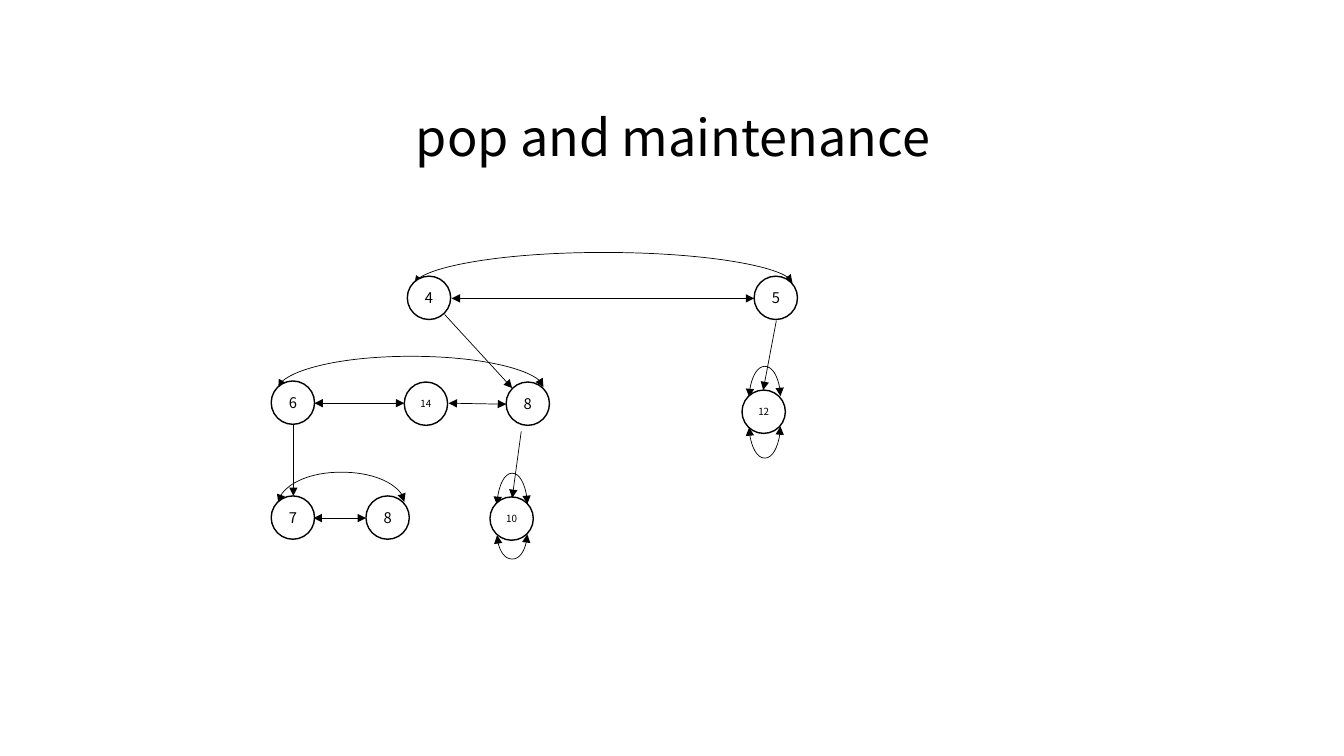
from lxml.etree import SubElement
from pptx import Presentation
from pptx.dml.color import RGBColor
from pptx.enum.shapes import MSO_CONNECTOR as CONN, MSO_SHAPE as SHAPE
from pptx.enum.text import MSO_ANCHOR as ANCHOR, PP_ALIGN as ALIGN
from pptx.oxml.ns import qn
from pptx.util import Inches, Pt

FONT = "Noto Sans CJK SC"
BLACK = RGBColor.from_string("000000")
WHITE = RGBColor.from_string("FFFFFF")
SIZE = 0.43  # node diameter
STEP = 0.01  # height difference between the two ends of an arc

prs = Presentation()
prs.slide_width, prs.slide_height = Inches(13.33), Inches(7.5)
slide = prs.slides.add_slide(prs.slide_layouts[6])


def write(s, text, size, anchor):
    tf = s.text_frame
    tf.word_wrap = True
    tf.vertical_anchor = anchor
    p = tf.paragraphs[0]
    p.alignment = ALIGN.CENTER
    r = p.add_run()
    r.text = text
    r.font.name, r.font.size = FONT, Pt(size)
    r.font.color.rgb = BLACK
    return tf


def link(kind, x1, y1, x2, y2, heads):
    s = slide.shapes.add_connector(kind, Inches(x1), Inches(y1), Inches(x2), Inches(y2))
    s.line.color.rgb = BLACK
    s.line.width = Pt(0.5)
    for head in heads:
        SubElement(s.line._get_or_add_ln(), qn("a:" + head), type="triangle")
    SubElement(s._element.spPr, qn("a:effectLst"))
    return s


# Title
s = slide.shapes.add_textbox(Inches(3.69), Inches(0.72), Inches(5.97), Inches(0.99))
tf = write(s, "pop and maintenance", 36, ANCHOR.BOTTOM)
tf.paragraphs[0].line_spacing = 0.9

# Arcs between the ends of each circular list: left, right, start y, reach, below
arcs = [
    (4.11, 7.86, 2.82, 0.32, False),
    (2.76, 5.39, 3.85, 0.32, False),
    (2.76, 4.01, 4.99, 0.31, False),
    (4.93, 5.23, 5.01, 0.32, False),
    (4.93, 5.23, 5.30, 0.25, True),
    (7.43, 7.74, 3.94, 0.31, False),
    (7.43, 7.74, 4.23, 0.32, True),
]
for left, right, y, reach, below in arcs:
    # The curve is laid out upright, then turned a quarter around its middle
    cx, half = (left + right) / 2, (right - left) / 2
    cy = y + STEP / 2 if below else y - STEP / 2
    s = link(CONN.CURVE, cx - STEP / 2, cy - half, cx + STEP / 2, cy + half,
             ["headEnd", "tailEnd"])
    xfrm = s._element.spPr.find(qn("a:xfrm"))
    xfrm.set("rot", "5400000")
    if not below:
        xfrm.set("flipH", "1")
        xfrm.set("flipV", "1")
    guides = s._element.spPr.find(qn("a:prstGeom")).find(qn("a:avLst"))
    SubElement(guides, qn("a:gd"), name="adj1", fmla=f"val {round(reach / STEP * 100000)}")

# Nodes: key, left, top
nodes = [
    ("4", 4.04, 2.74), ("5", 7.48, 2.74),
    ("6", 2.69, 3.78), ("14", 4.01, 3.79), ("8", 5.02, 3.79), ("12", 7.36, 3.87),
    ("7", 2.69, 4.92), ("8", 3.63, 4.92), ("10", 4.86, 4.93),
]
for key, x, y in nodes:
    s = slide.shapes.add_shape(SHAPE.FLOWCHART_CONNECTOR, Inches(x), Inches(y),
                               Inches(SIZE), Inches(SIZE))
    s.shadow.inherit = False
    s.fill.solid()
    s.fill.fore_color.rgb = WHITE
    s.line.color.rgb = BLACK
    s.line.width = Pt(1)
    tf = write(s, key, 7 if len(key) > 1 else 10.5, ANCHOR.MIDDLE)
    tf.margin_left = tf.margin_right = tf.margin_top = tf.margin_bottom = 0

# Sibling links, pointing both ways
siblings = [
    (4.48, 2.96, 7.48, 2.96),
    (3.12, 4.00, 4.01, 4.00),
    (4.45, 4.00, 5.02, 4.01),
    (3.11, 5.14, 3.63, 5.14),
]
for ends in siblings:
    link(CONN.STRAIGHT, *ends, ["headEnd", "tailEnd"])

# Parent to child links
children = [
    (4.41, 3.12, 5.08, 3.85),
    (7.70, 3.18, 7.57, 3.87),
    (2.91, 4.22, 2.91, 4.92),
    (5.17, 4.28, 5.08, 4.94),
]
for ends in children:
    link(CONN.STRAIGHT, *ends, ["tailEnd"])

prs.save("out.pptx")
